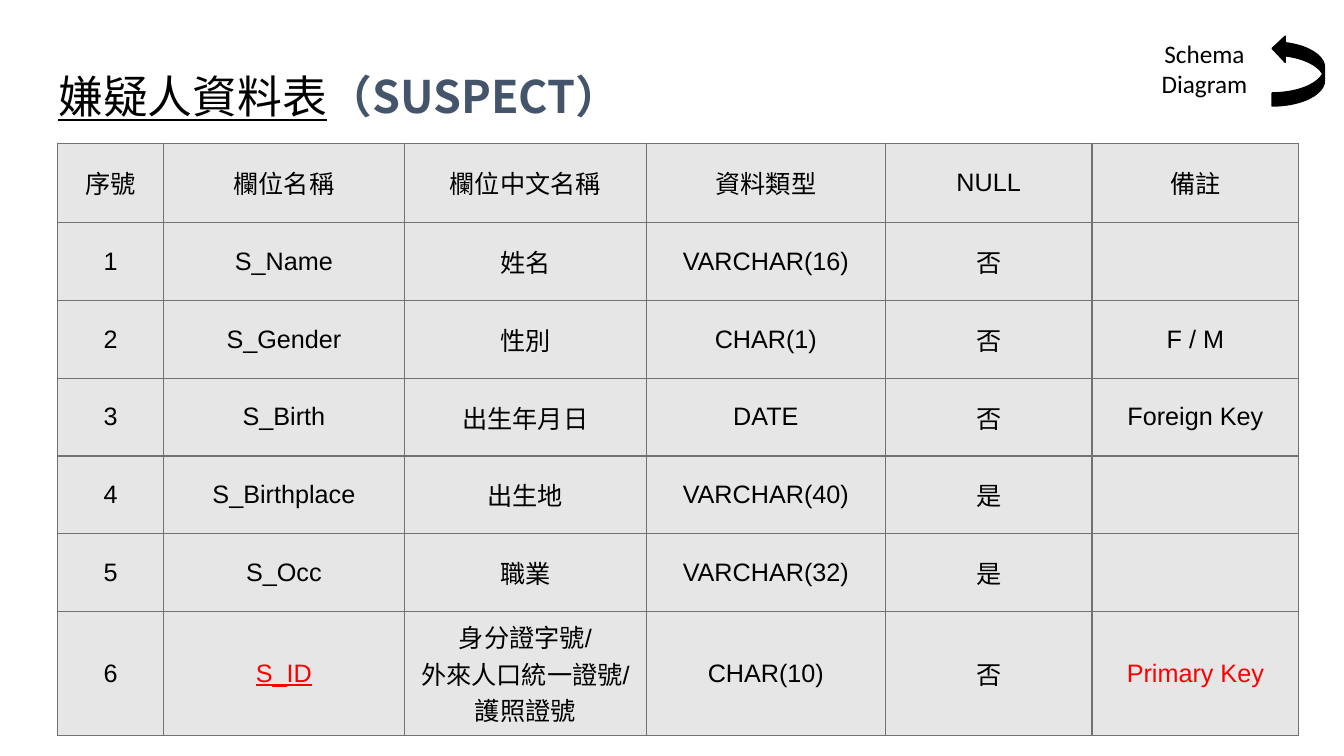
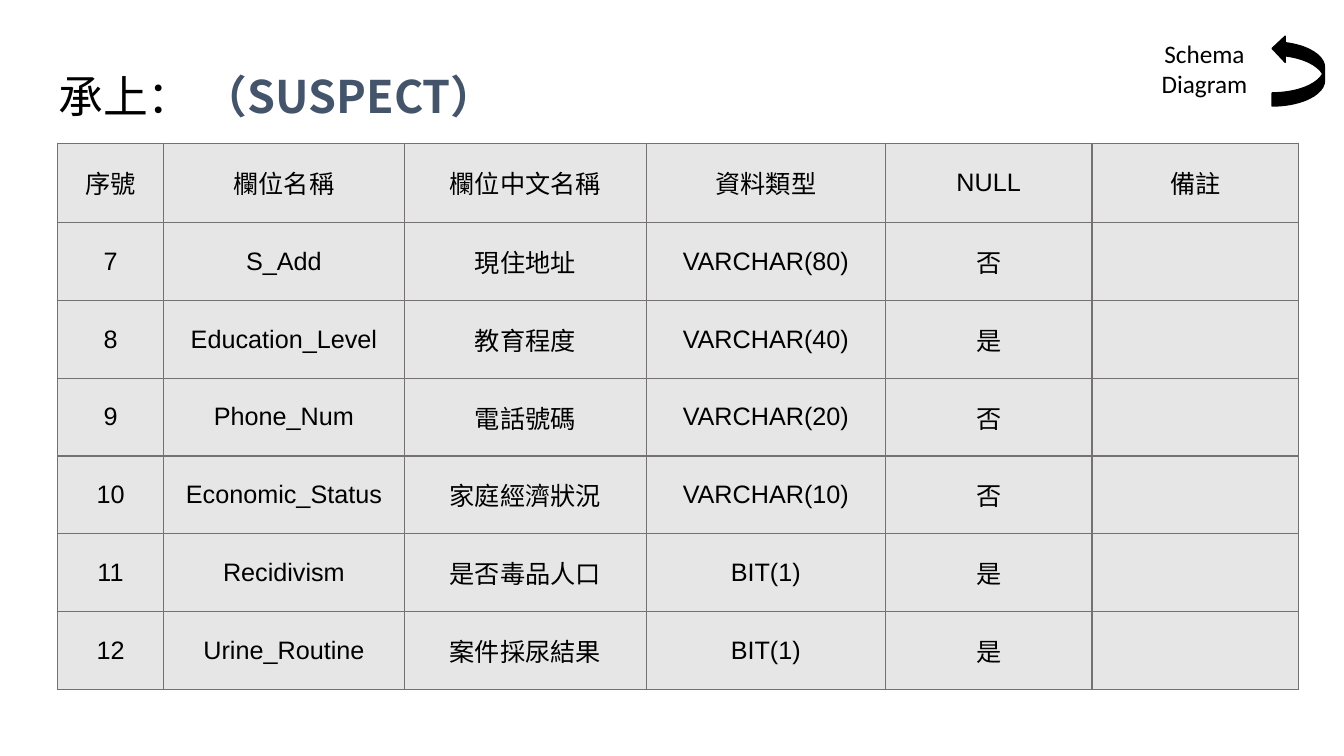
from dataclasses import astuple, dataclass

from lxml import etree
from pptx import Presentation
from pptx.dml.color import RGBColor
from pptx.enum.shapes import MSO_SHAPE
from pptx.enum.text import MSO_ANCHOR, MSO_AUTO_SIZE, PP_ALIGN
from pptx.oxml.ns import qn
from pptx.util import Cm, Pt

LEFT, CENTER = PP_ALIGN.LEFT, PP_ALIGN.CENTER
MIDDLE = MSO_ANCHOR.MIDDLE
CURVED_ARROW = MSO_SHAPE.CURVED_UP_ARROW
NO_FIT = MSO_AUTO_SIZE.NONE
FIT_SHAPE = MSO_AUTO_SIZE.SHAPE_TO_FIT_TEXT

COLORS = {
    "text": "000000",
    "accent": "44546A",
    "key": "FF0000",
    "cell": "E7E6E6",
    "border": "767171",
}
CJK_FONT = "Noto Sans CJK SC"
TITLE_ONLY = 5
COL_WIDTHS = (2.67, 6.07, 6.1, 6.02, 5.21, 5.21)
HEADER_HEIGHT, ROW_HEIGHT = 2.0, 1.96
HEADER_INSET, CELL_INSET = 0.33, 0.18


@dataclass(frozen=True)
class Field:
    number: str
    name: str
    label: str
    data_type: str
    null: str
    note: str = ""


@dataclass(frozen=True)
class SchemaSlide:
    heading: str
    underline: bool
    fields: tuple[Field, ...]


HEADER = Field("序號", "欄位名稱", "欄位中文名稱", "資料類型", "NULL", "備註")
PRIMARY_KEY = "Primary Key"

SLIDES = (
    SchemaSlide("嫌疑人資料表", True, (
        Field("1", "S_Name", "姓名", "VARCHAR(16)", "否"),
        Field("2", "S_Gender", "性別", "CHAR(1)", "否", "F / M"),
        Field("3", "S_Birth", "出生年月日", "DATE", "否", "Foreign Key"),
        Field("4", "S_Birthplace", "出生地", "VARCHAR(40)", "是"),
        Field("5", "S_Occ", "職業", "VARCHAR(32)", "是"),
        Field("6", "S_ID", "身分證字號/\n外來人口統一證號/\n護照證號",
              "CHAR(10)", "否", PRIMARY_KEY),
    )),
    SchemaSlide("承上： ", False, (
        Field("7", "S_Add", "現住地址", "VARCHAR(80)", "否"),
        Field("8", "Education_Level", "教育程度", "VARCHAR(40)", "是"),
        Field("9", "Phone_Num", "電話號碼", "VARCHAR(20)", "否"),
        Field("10", "Economic_Status", "家庭經濟狀況", "VARCHAR(10)", "否"),
        Field("11", "Recidivism", "是否毒品人口", "BIT(1)", "是"),
        Field("12", "Urine_Routine", "案件採尿結果", "BIT(1)", "是"),
    )),
)


def rgb(name: str) -> RGBColor:
    return RGBColor.from_string(COLORS[name])


def add_run(p, text: str, *, size: float = 18, font: str = "Arial",
            color: str = "text", bold: bool = False,
            underline: bool = False) -> None:
    r = p.add_run()
    r.text = text
    r.font.size = Pt(size)
    r.font.name = font
    r.font.bold = bold
    r.font.underline = underline
    r.font.color.rgb = rgb(color)
    ea = etree.SubElement(r._r.get_or_add_rPr(), qn("a:ea"))
    ea.set("typeface", CJK_FONT)


def set_insets(box, inset: float) -> None:
    box.margin_left = box.margin_right = Cm(inset)
    box.margin_top = box.margin_bottom = Cm(inset)


def add_borders(cell) -> None:
    tc_pr = cell._tc.get_or_add_tcPr()
    for side in ("L", "R", "T", "B"):
        ln = etree.SubElement(tc_pr, qn(f"a:ln{side}"), w=str(Pt(1)))
        fill = etree.SubElement(ln, qn("a:solidFill"))
        etree.SubElement(fill, qn("a:srgbClr"), val=COLORS["border"])


def fill_cell(cell, text: str, inset: float, **fmt) -> None:
    add_borders(cell)
    cell.fill.solid()
    cell.fill.fore_color.rgb = rgb("cell")
    cell.vertical_anchor = MIDDLE
    set_insets(cell, inset)
    tf = cell.text_frame
    for i, line in enumerate(text.split("\n") if text else ()):
        p = tf.add_paragraph() if i else tf.paragraphs[0]
        p.alignment = CENTER
        add_run(p, line, **fmt)


def add_title(s, content: SchemaSlide) -> None:
    title = s.shapes.title
    title.left, title.top = Cm(1.14), Cm(1.42)
    title.width, title.height = Cm(31.55), Cm(2.13)
    tf = title.text_frame
    tf.auto_size = NO_FIT
    tf.vertical_anchor = MIDDLE
    set_insets(tf, HEADER_INSET)
    p = tf.paragraphs[0]
    p.alignment = LEFT
    p.line_spacing = 0.9
    add_run(p, content.heading, size=32, font=CJK_FONT,
            underline=content.underline)
    add_run(p, "（SUSPECT）", size=32, font=CJK_FONT, color="accent", bold=True)


def add_field_table(s, fields: tuple[Field, ...]) -> None:
    rows = (HEADER, *fields)
    height = HEADER_HEIGHT + ROW_HEIGHT * len(fields)
    table = s.shapes.add_table(len(rows), len(COL_WIDTHS), Cm(1.45), Cm(3.61),
                               Cm(sum(COL_WIDTHS)), Cm(height)).table
    table.first_row = table.horz_banding = False
    for column, width in zip(table.columns, COL_WIDTHS):
        column.width = Cm(width)
    for i, field in enumerate(rows):
        table.rows[i].height = Cm(ROW_HEIGHT if i else HEADER_HEIGHT)
        inset = CELL_INSET if i else HEADER_INSET
        is_key = field.note == PRIMARY_KEY
        for j, text in enumerate(astuple(field)):
            is_name = text == field.name
            marked = is_key and (is_name or text == field.note)
            fill_cell(table.cell(i, j), text, inset,
                      color="key" if marked else "text",
                      underline=is_key and is_name)


def add_diagram_mark(s) -> None:
    """Label and turning arrow in the top right corner."""
    arrow = s.shapes.add_shape(CURVED_ARROW, Cm(31.83), Cm(1.12),
                               Cm(1.78), Cm(1.32))
    arrow.rotation = 270
    arrow.shadow.inherit = False
    arrow.fill.solid()
    arrow.fill.fore_color.rgb = rgb("text")
    arrow.line.color.rgb = rgb("text")
    arrow.line.width = Pt(1)

    label = s.shapes.add_textbox(Cm(29.01), Cm(0.84), Cm(2.69), Cm(1.8))
    tf = label.text_frame
    tf.word_wrap = False
    tf.auto_size = FIT_SHAPE
    p = tf.paragraphs[0]
    p.alignment = CENTER
    add_run(p, "Schema", font="Calibri")
    p.add_line_break()
    add_run(p, "Diagram", font="Calibri")


def main() -> None:
    prs = Presentation()
    prs.slide_width, prs.slide_height = Cm(33.87), Cm(19.05)
    for content in SLIDES:
        s = prs.slides.add_slide(prs.slide_layouts[TITLE_ONLY])
        add_title(s, content)
        add_field_table(s, content.fields)
        add_diagram_mark(s)
    prs.save("out.pptx")


if __name__ == "__main__":
    main()
